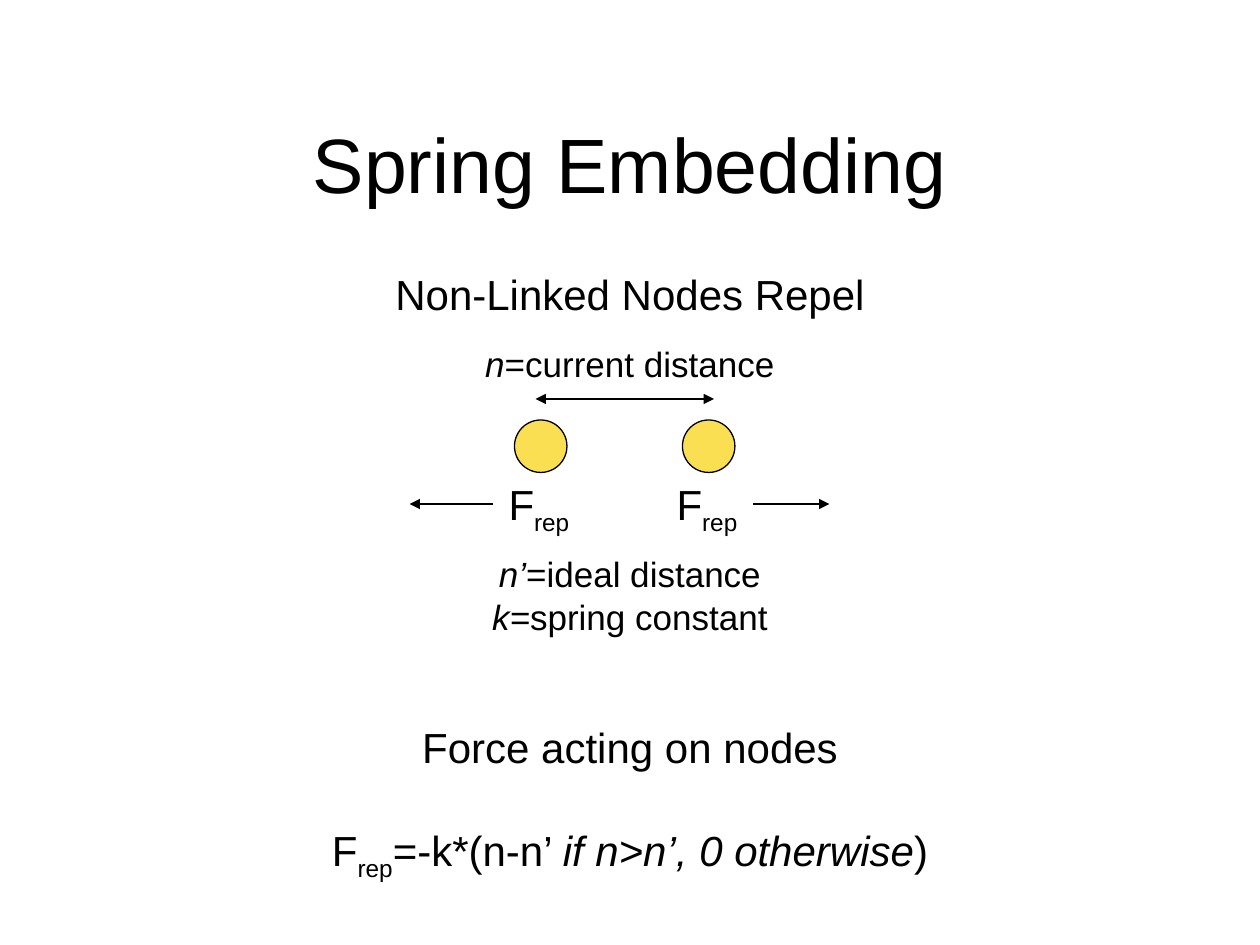
"""Build the spring embedding slide on repelling non-linked nodes."""
from dataclasses import dataclass

from lxml import etree
from pptx import Presentation
from pptx.dml.color import RGBColor
from pptx.enum.shapes import MSO_CONNECTOR, MSO_SHAPE
from pptx.enum.text import MSO_ANCHOR, MSO_AUTO_SIZE, PP_ALIGN
from pptx.oxml.ns import qn
from pptx.util import Pt

CENTER, LEFT = PP_ALIGN.CENTER, PP_ALIGN.LEFT
MIDDLE, TOP = MSO_ANCHOR.MIDDLE, MSO_ANCHOR.TOP
OVAL, STRAIGHT = MSO_SHAPE.OVAL, MSO_CONNECTOR.STRAIGHT
NO_AUTOFIT = MSO_AUTO_SIZE.NONE


@dataclass(frozen=True)
class Theme:
    font: str = "Arial"
    ink: RGBColor = RGBColor(0, 0, 0)
    node: RGBColor = RGBColor(0xFB, 0xDF, 0x53)
    title: int = 44
    heading: int = 24
    note: int = 20
    line: float = 0.75
    paragraph_gap: int = 30


THEME = Theme()
SLIDE_WIDTH, SLIDE_HEIGHT = 720, 540
TITLE = "Spring Embedding"
TITLE_BOX = (54, 48, 612, 90)

FORCE = [("F", ""), ("rep", "sub")]
FORMULA = FORCE + [("=-k*(n-n’ ", ""), ("if n>n’, 0 otherwise", "italic"), (")", "")]
CENTERED_TEXTS = [
    (150, 305, 36, THEME.heading, [[("Non-Linked Nodes Repel", "")]]),
    (192, 233, 32, THEME.note, [[("n", "italic"), ("=current distance", "")]]),
    (312, 233, 32, THEME.note, [[("n’", "italic"), ("=ideal distance", "")]]),
    (337, 208, 32, THEME.note, [[("k=", "italic"), ("spring constant", "")]]),
    (409, 356, 98, THEME.heading, [[("Force acting on nodes", "")], FORMULA]),
]

NODE_CENTERS = (309, 405)
NODE_TOP, NODE_SIZE = 240, 30
LABEL_TOP, LABEL_WIDTH, LABEL_HEIGHT = 270, 49, 40
ARROWS = [
    (306, 408, 228, ("headEnd", "tailEnd")),
    (430.5, 474, 288, ("tailEnd",)),
    (282, 234, 288, ("tailEnd",)),
]


def write_text(shape, paragraphs, size, align=CENTER, anchor=TOP):
    frame = shape.text_frame
    frame.auto_size, frame.word_wrap = NO_AUTOFIT, False
    frame.vertical_anchor = anchor
    for index, runs in enumerate(paragraphs):
        paragraph = frame.add_paragraph() if index else frame.paragraphs[0]
        paragraph.alignment = align
        paragraph.space_before = Pt(THEME.paragraph_gap if index else 0)
        paragraph.font.name, paragraph.font.size = THEME.font, Pt(size)
        paragraph.font.color.rgb = THEME.ink
        for text, style in runs:
            run = paragraph.add_run()
            run.text = text
            if style == "italic":
                run.font.italic = True
            elif style == "sub":
                run._r.get_or_add_rPr().set("baseline", "-25000")


def add_text(slide, left, top, width, height, *text):
    box = slide.shapes.add_textbox(Pt(left), Pt(top), Pt(width), Pt(height))
    write_text(box, *text)


def add_node(slide, center):
    node = slide.shapes.add_shape(
        OVAL, Pt(center - NODE_SIZE / 2), Pt(NODE_TOP), Pt(NODE_SIZE), Pt(NODE_SIZE))
    node.shadow.inherit = False
    node.fill.solid()
    node.fill.fore_color.rgb = THEME.node
    node.line.color.rgb = THEME.ink
    node.line.width = Pt(THEME.line)
    add_text(slide, center - LABEL_WIDTH / 2 - 1, LABEL_TOP, LABEL_WIDTH, LABEL_HEIGHT,
             [FORCE], THEME.heading, LEFT)


def add_arrow(slide, start, end, level, ends):
    arrow = slide.shapes.add_connector(STRAIGHT, Pt(start), Pt(level), Pt(end), Pt(level))
    arrow.line.color.rgb = THEME.ink
    arrow.line.width = Pt(THEME.line)
    for name in ends:
        etree.SubElement(arrow.line._get_or_add_ln(), qn(f"a:{name}"), type="triangle")
    etree.SubElement(arrow._element.spPr, qn("a:effectLst"))


def main():
    presentation = Presentation()
    presentation.slide_width, presentation.slide_height = Pt(SLIDE_WIDTH), Pt(SLIDE_HEIGHT)
    slide = presentation.slides.add_slide(presentation.slide_layouts[5])
    title = slide.shapes.title
    title.left, title.top, title.width, title.height = map(Pt, TITLE_BOX)
    write_text(title, [[(TITLE, "")]], THEME.title, CENTER, MIDDLE)
    for top, width, height, size, paragraphs in CENTERED_TEXTS:
        add_text(slide, (SLIDE_WIDTH - width) / 2, top, width, height, paragraphs, size)
    for center in NODE_CENTERS:
        add_node(slide, center)
    for arrow in ARROWS:
        add_arrow(slide, *arrow)
    presentation.save("out.pptx")


if __name__ == "__main__":
    main()
